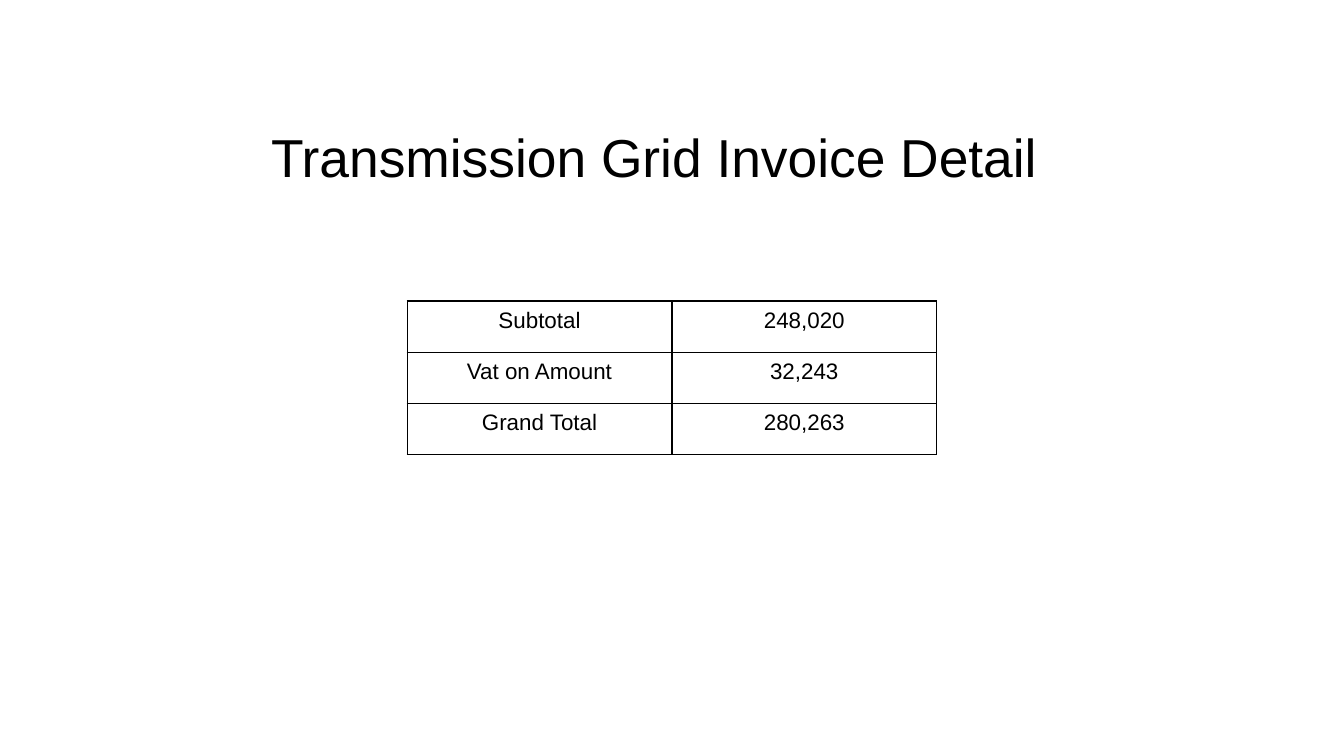
from pptx import Presentation
from pptx.dml.color import RGBColor
from pptx.enum.text import MSO_ANCHOR as Anchor, PP_ALIGN as Align
from pptx.oxml import parse_xml
from pptx.oxml.ns import nsdecls
from pptx.util import Inches, Pt

BLACK, WHITE = "000000", "FFFFFF"
ROWS = [
    ("Subtotal", "248,020"),
    ("Vat on Amount", "32,243"),
    ("Grand Total", "280,263"),
]


def paint(target, color):
    target.rgb = RGBColor.from_string(color)


def write(frame, text, size):
    para = frame.paragraphs[0]
    para.alignment = Align.CENTER
    run = para.add_run()
    run.text = text
    for name, value in {"name": "Arial", "size": Pt(size), "bold": False}.items():
        setattr(run.font, name, value)
    paint(run.font.color, BLACK)


def border(cell, color, width):
    props = cell._tc.get_or_add_tcPr()
    # Border lines come before the fill in the cell properties
    for spot, side in enumerate(("lnL", "lnR", "lnT", "lnB")):
        props.insert(spot, parse_xml(
            f'<a:{side} {nsdecls("a")} w="{Pt(width)}"><a:solidFill>'
            f'<a:srgbClr val="{color}"/></a:solidFill></a:{side}>'))


def add_title(slide, text, left, top, width, height):
    title = slide.shapes.title
    box = {"left": left, "top": top, "width": width, "height": height}
    for name, value in box.items():
        setattr(title, name, Inches(value))
    frame = title.text_frame
    form = {
        "vertical_anchor": Anchor.BOTTOM, "word_wrap": True,
        "margin_left": 0, "margin_right": 0,
        "margin_top": Inches(0.1), "margin_bottom": Inches(0.1),
    }
    for name, value in form.items():
        setattr(frame, name, value)
    write(frame, text, 28.6)


def add_totals(slide, rows, left, top, width, height):
    box = [Inches(v) for v in (left, top, width, height)]
    table = slide.shapes.add_table(len(rows), len(rows[0]), *box).table
    table.first_row = table.horz_banding = False
    for r, row in enumerate(rows):
        for c, text in enumerate(row):
            cell = table.cell(r, c)
            cell.fill.solid()
            paint(cell.fill.fore_color, WHITE)
            border(cell, BLACK, 0.75)
            write(cell.text_frame, text, 12)


def main():
    deck = Presentation()
    # Widescreen, 16:9
    deck.slide_width = Inches(10)
    deck.slide_height = Inches(10 * 9 / 16)
    slide = deck.slides.add_slide(deck.slide_layouts[5])
    # Heading; its closing space is part of the centred line
    add_title(slide, "Transmission Grid Invoice Detail ", 0.34, 0.81, 9.16, 0.69)
    # Invoice totals
    add_totals(slide, ROWS, 3.03, 2.24, 3.94, 1.14)
    deck.save("out.pptx")


if __name__ == "__main__":
    main()
